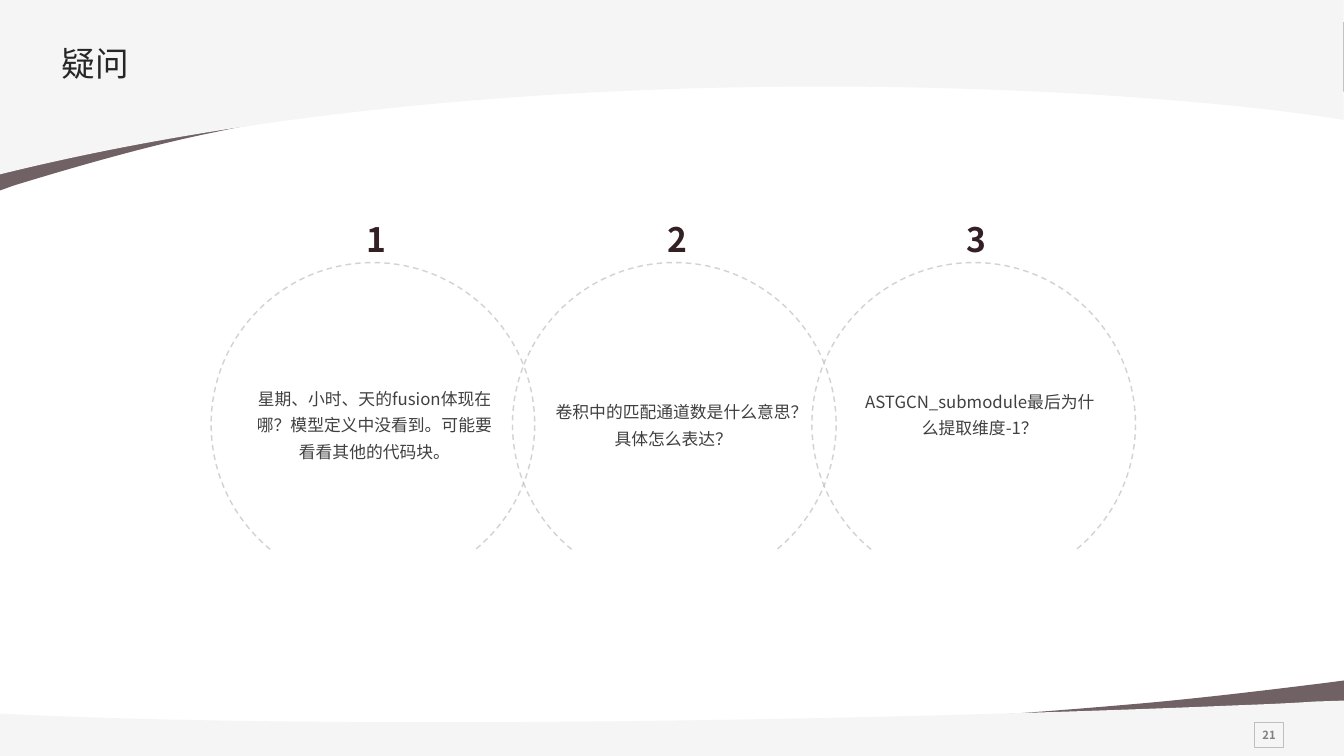
"""Build the questions slide: three overlapping dashed rings between two curved bands."""
from dataclasses import dataclass
from math import acos, asin, ceil, cos, degrees, floor, radians, sin, tan

from lxml import etree
from pptx import Presentation
from pptx.dml.color import RGBColor
from pptx.enum.dml import MSO_LINE
from pptx.enum.shapes import MSO_SHAPE
from pptx.enum.text import MSO_ANCHOR, MSO_AUTO_SIZE, PP_ALIGN
from pptx.oxml.ns import qn
from pptx.util import Pt

PX = 9144
FONT = "Noto Sans CJK SC"
RECTANGLE = MSO_SHAPE.RECTANGLE
DASH = MSO_LINE.DASH
LEFT, CENTER = PP_ALIGN.LEFT, PP_ALIGN.CENTER
TOP, MIDDLE = MSO_ANCHOR.TOP, MSO_ANCHOR.MIDDLE
GROW, FIXED = MSO_AUTO_SIZE.SHAPE_TO_FIT_TEXT, MSO_AUTO_SIZE.NONE
COLORS = {
    "plum": "341F24",
    "mist": "F5F5F5",
    "white": "FFFFFF",
    "rule": "BFBFBF",
    "title": "262626",
    "body": "404040",
    "page": "808080",
}
RING_Y, RING_RADIUS, RING_BOTTOM = 421, 160.5, 545

Box = tuple[int, int, int, int]
Step = tuple[float, ...]


@dataclass(frozen=True)
class Band:
    """A filled outline whose steps are lines (2 numbers) or cubic curves (6 numbers)."""
    color: str
    start: Step
    steps: tuple[Step, ...]
    opacity: int = 100


@dataclass(frozen=True)
class Question:
    """A numbered question in its ring."""
    number: str
    text: str
    center_x: int
    number_left: int
    text_box: Box


BANDS = (
    Band("plum", (0, 189), (
        (0, 22), (1334, 22), (1334, 91), (1333, 91),
        (1032, 6, 514, 67, 214, 131), (154, 143, 86, 162, 14, 184)), 70),
    Band("mist", (0, 0), (
        (1333, 0), (1333, 119), (1140, 87, 517, 45, 0, 173))),
    Band("plum", (1334, 675), (
        (1334, 744), (0, 744), (0, 715), (1, 716),
        (301, 750, 820, 725, 1119, 699), (1179, 694, 1247, 686, 1319, 677)), 70),
    Band("mist", (1334, 695), (
        (1334, 750), (0, 750), (0, 708), (44, 710),
        (392, 724, 910, 713, 1220, 700), (1246, 699, 1275, 698, 1304, 696))),
)
QUESTIONS = (
    Question("1", "星期、小时、天的fusion体现在哪？模型定义中没看到。可能要看看其他的代码块。",
             370, 280, (244, 375, 255, 89)),
    Question("2", "卷积中的匹配通道数是什么意思？具体怎么表达？",
             669, 579, (541, 388, 254, 62)),
    Question("3", "ASTGCN_submodule最后为什么提取维度-1？",
             966, 875, (845, 378, 254, 62)),
)


def rgb(name: str) -> RGBColor:
    return RGBColor.from_string(COLORS[name])


def set_opacity(fill_parent, percent: int) -> None:
    """Make the solid fill of a shape or line partly transparent."""
    color = fill_parent.find(qn("a:solidFill"))[0]
    etree.SubElement(color, qn("a:alpha"), val=str(percent * 1000))


def ring_point(center_x: float, angle: float) -> Step:
    turn = radians(angle)
    return center_x + RING_RADIUS * cos(turn), RING_Y + RING_RADIUS * sin(turn)


def arc(center_x: float, start: float, end: float) -> list[Step]:
    """Return cubic steps between two ring angles, split at each quarter turn."""
    low, high = sorted((start, end))
    quarters = [90 * q for q in range(floor(low / 90) + 1, ceil(high / 90))]
    angles = sorted([low, *quarters, high], reverse=start > end)
    steps = []
    for first, last in zip(angles, angles[1:]):
        reach = 4 / 3 * tan(radians(last - first) / 4)
        (x0, y0), (x1, y1) = ring_point(center_x, first), ring_point(center_x, last)
        steps.append((x0 - reach * (y0 - RING_Y), y0 + reach * (x0 - center_x),
                      x1 + reach * (y1 - RING_Y), y1 - reach * (x1 - center_x), x1, y1))
    return steps


def add_outline(slide, start: Step, steps: list[Step] | tuple[Step, ...], closed: bool):
    """Draw an outline of lines and cubic curves."""
    builder = slide.shapes.build_freeform(*(round(v * PX) for v in start), scale=1.0)
    builder.add_line_segments(
        [tuple(round(v * PX) for v in step[-2:]) for step in steps], close=closed)
    outline = builder.convert_to_shape()
    outline.shadow.inherit = False
    for segment, step in zip(list(outline._element.iter(qn("a:lnTo"))), steps):
        if len(step) == 6:
            curve = etree.Element(qn("a:cubicBezTo"))
            for x, y in zip(step[::2], step[1::2]):
                etree.SubElement(curve, qn("a:pt"), x=str(round(x * PX) - outline.left),
                                 y=str(round(y * PX) - outline.top))
            segment.getparent().replace(segment, curve)
    return outline


def add_band(slide, band: Band) -> None:
    """Draw one curved band."""
    outline = add_outline(slide, band.start, band.steps, closed=True)
    outline.fill.solid()
    outline.fill.fore_color.rgb = rgb(band.color)
    outline.line.fill.background()
    if band.opacity < 100:
        set_opacity(outline._element.spPr, band.opacity)


def add_ring(slide, index: int) -> None:
    """Draw one open ring, notched where its neighbours overlap it."""
    center = QUESTIONS[index].center_x
    base = degrees(asin((RING_BOTTOM - RING_Y) / RING_RADIUS))
    steps, angle = [], 180 - base
    if index > 0:
        neighbour = QUESTIONS[index - 1].center_x
        meet = degrees(acos((center - neighbour) / 2 / RING_RADIUS))
        steps += arc(center, angle, 180 - meet) + arc(neighbour, meet, -meet)
        angle = 180 + meet
    if index < len(QUESTIONS) - 1:
        neighbour = QUESTIONS[index + 1].center_x
        meet = degrees(acos((neighbour - center) / 2 / RING_RADIUS))
        steps += arc(center, angle, 360 - meet) + arc(neighbour, 180 + meet, 180 - meet)
        angle = 360 + meet
    steps += arc(center, angle, 360 + base)
    outline = add_outline(slide, ring_point(center, 180 - base), steps, closed=False)
    outline.fill.background()
    outline.line.color.rgb = rgb("rule")
    outline.line.width = Pt(1)
    outline.line.dash_style = DASH
    set_opacity(outline._element.spPr.find(qn("a:ln")), 70)


def add_text(slide, text: str, box: Box, *, size: int, color: str, bold: bool = False,
             align: PP_ALIGN = CENTER, anchor: MSO_ANCHOR = TOP, spacing: float = 1.0,
             insets: Box = (10, 5, 10, 5), wrap: bool = True, grow: bool = False,
             fill: str = "", line: str = "") -> None:
    """Place text in a plain box, or in a rectangle when it has a fill or a line."""
    bounds = [value * PX for value in box]
    if fill or line:
        holder = slide.shapes.add_shape(RECTANGLE, *bounds)
        holder.shadow.inherit = False
        holder.fill.background()
        holder.line.fill.background()
        if fill:
            holder.fill.solid()
            holder.fill.fore_color.rgb = rgb(fill)
        if line:
            holder.line.color.rgb = rgb(line)
            holder.line.width = Pt(0.75)
    else:
        holder = slide.shapes.add_textbox(*bounds)
    frame = holder.text_frame
    frame.word_wrap, frame.vertical_anchor = wrap, anchor
    frame.auto_size = GROW if grow else FIXED
    frame.margin_left, frame.margin_top, frame.margin_right, frame.margin_bottom = (
        value * PX for value in insets)
    paragraph = frame.paragraphs[0]
    paragraph.alignment, paragraph.line_spacing = align, spacing
    run = paragraph.add_run()
    run.text = text
    run.font.name, run.font.size, run.font.bold = FONT, Pt(size), bold
    run.font.color.rgb = rgb(color)
    etree.SubElement(run._r.get_or_add_rPr(), qn("a:ea"), typeface=FONT)


def main() -> None:
    deck = Presentation()
    deck.slide_width, deck.slide_height = 4000 * PX // 3, 750 * PX
    slide = deck.slides.add_slide(deck.slide_layouts[6])
    for band in BANDS:
        add_band(slide, band)
    add_text(slide, "21", (1245, 717, 28, 25), size=8, color="page", bold=True,
             anchor=MIDDLE, insets=(8, 8, 8, 8), wrap=False, line="rule")
    add_text(slide, "疑问", (53, 39, 1200, 58), size=24, color="title", align=LEFT,
             spacing=0.9, insets=(8, 8, 0, 8), wrap=False)
    for index in range(len(QUESTIONS)):
        add_ring(slide, index)
    for question in QUESTIONS:
        add_text(slide, question.number, (question.number_left, 217, 187, 40), size=24,
                 color="plum", bold=True, insets=(10, 0, 10, 0), grow=True, fill="white")
        add_text(slide, question.text, question.text_box, size=12, color="body",
                 spacing=1.3, grow=True)
    deck.save("out.pptx")


if __name__ == "__main__":
    main()
